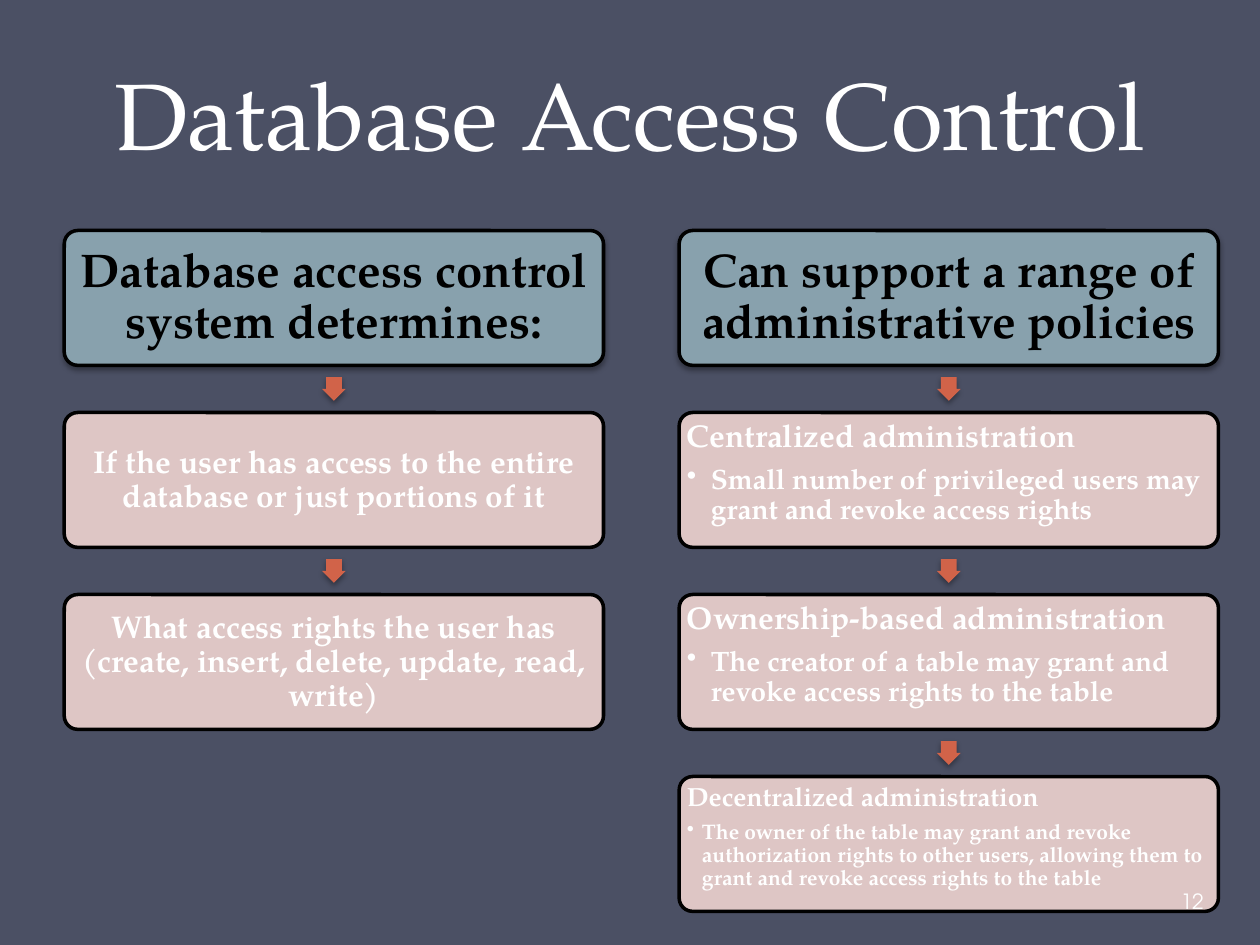
from lxml import etree
from pptx import Presentation
from pptx.dml.color import RGBColor
from pptx.enum import shapes, text
from pptx.oxml import ns
from pptx.util import Inches, Pt

SERIF = "TeX Gyre Pagella"
SANS = "TeX Gyre Adventor"
SLATE = RGBColor(0x4B, 0x50, 0x64)
STEEL = RGBColor(0x88, 0xA1, 0xAD)
ROSE = RGBColor(0xEE, 0xD3, 0xD0)
RUST = RGBColor(0xD1, 0x63, 0x49)
WHITE = RGBColor(0xFF, 0xFF, 0xFF)
BLACK = RGBColor(0, 0, 0)

CARD_TOP, CARD_WIDTH, CARD_HEIGHT = 1.83, 4.28, 1.07
GAP = 0.35 * CARD_HEIGHT
ARROW = GAP / 2

# Each column: left edge, heading, cards of (size, lead, bullet size, bullet, indent)
COLUMNS = [
    (0.51, "Database access control system determines:", [
        (18, "If the user has access to the entire database or just portions of it"),
        (18, "What access rights the user has (create, insert, delete, update, read, write)"),
    ]),
    (5.39, "Can support a range of administrative policies", [
        (18, "Centralized administration", 16,
         "Small number of privileged users may grant and revoke access rights", 0.19),
        (18, "Ownership-based administration", 16,
         "The creator of a table may grant and revoke access rights to the table", 0.19),
        (15, "Decentralized administration", 12,
         "The owner of the table may grant and revoke authorization rights to other users, "
         "allowing them to grant and revoke access rights to the table", 0.12),
    ]),
]


def add_child(parent, tag, **attributes):
    return etree.SubElement(parent, ns.qn(tag), attributes)


def add_shadow(shape):
    """Cast a soft shadow straight down."""
    effects = shape._element.spPr.find(ns.qn("a:effectLst"))
    shadow = add_child(effects, "a:outerShdw", blurRad=str(Pt(3.1)), dist=str(Pt(1.8)),
                       dir="5400000", rotWithShape="0")
    color = add_child(shadow, "a:srgbClr", val=str(BLACK))
    add_child(color, "a:alpha", val="35000")


def set_fill(shape, color, opacity=100):
    shape.fill.solid()
    shape.fill.fore_color.rgb = color
    if opacity < 100:
        fill = shape._element.spPr.find(ns.qn("a:solidFill"))
        add_child(fill[0], "a:alpha", val=str(opacity * 1000))


def set_frame(frame, anchor, margin):
    frame.word_wrap = True
    frame.vertical_anchor = anchor
    frame.margin_left = frame.margin_right = Inches(margin)
    frame.margin_top = frame.margin_bottom = Inches(margin)


def add_span(para, words, size, color, font=SERIF, bold=False):
    span = para.add_run()
    span.text = words
    span.font.name = font
    span.font.size = Pt(size)
    span.font.bold = bold
    span.font.color.rgb = color


def add_text_box(page, left, top, width, height, anchor, margin=0.05):
    box = page.shapes.add_textbox(Inches(left), Inches(top), Inches(width), Inches(height))
    set_frame(box.text_frame, anchor, margin)
    return box.text_frame


def add_card(page, left, top, color, opacity=100):
    card = page.shapes.add_shape(
        shapes.MSO_SHAPE.ROUNDED_RECTANGLE,
        Inches(left), Inches(top), Inches(CARD_WIDTH), Inches(CARD_HEIGHT))
    card.adjustments[0] = 0.1
    card.shadow.inherit = False
    set_fill(card, color, opacity)
    card.line.color.rgb = BLACK
    card.line.width = Pt(2)
    return card


def add_arrow(page, left, top):
    """Point down from the card above to the card that starts at top."""
    arrow = page.shapes.add_shape(
        shapes.MSO_SHAPE.RIGHT_ARROW,
        Inches(left + (CARD_WIDTH - ARROW) / 2), Inches(top - (GAP + ARROW) / 2),
        Inches(ARROW), Inches(ARROW))
    arrow.rotation = 90
    arrow.adjustments[0] = 0.67
    arrow.adjustments[1] = 0.5
    arrow.shadow.inherit = False
    set_fill(arrow, RUST)
    arrow.line.fill.background()
    add_shadow(arrow)


def add_lead(frame, words, size, color, alignment):
    para = frame.paragraphs[0]
    para.alignment = alignment
    para.line_spacing = 0.9
    add_span(para, words, size, color, bold=True)
    return para


def add_bullet(frame, words, size, indent):
    para = frame.add_paragraph()
    para.level = 1
    para.alignment = text.PP_ALIGN.LEFT
    para.line_spacing = 0.9
    properties = para._p.get_or_add_pPr()
    properties.set("marL", str(Inches(indent)))
    properties.set("indent", str(-Inches(indent)))
    add_child(properties, "a:buChar", char="•")
    add_span(para, words, size, WHITE, bold=True)


def add_heading(page, left, words):
    card = add_card(page, left, CARD_TOP, STEEL)
    add_shadow(card)
    set_frame(card.text_frame, text.MSO_ANCHOR.MIDDLE, 0.04)
    add_lead(card.text_frame, words, 27, BLACK, text.PP_ALIGN.CENTER)


def add_detail(page, left, top, size, lead, bullet_size=None, bullet=None, indent=0):
    frame = add_card(page, left, top, ROSE, 90).text_frame
    if bullet is None:
        set_frame(frame, text.MSO_ANCHOR.MIDDLE, 0.03)
        add_lead(frame, lead, size, WHITE, text.PP_ALIGN.CENTER)
        return
    set_frame(frame, text.MSO_ANCHOR.TOP, 0.03)
    para = add_lead(frame, lead, size, WHITE, text.PP_ALIGN.LEFT)
    para.space_after = Pt(0.35 * size)
    add_bullet(frame, bullet, bullet_size, indent)


def add_column(page, left, heading, details):
    add_heading(page, left, heading)
    for row, detail in enumerate(details, start=1):
        top = CARD_TOP + row * (CARD_HEIGHT + GAP)
        add_arrow(page, left, top)
        add_detail(page, left, top, *detail)


def add_title(page, words):
    frame = add_text_box(page, 0.5, 0, 9, 1.39, text.MSO_ANCHOR.BOTTOM)
    para = frame.paragraphs[0]
    para.alignment = text.PP_ALIGN.CENTER
    para.line_spacing = Pt(58)
    add_span(para, words, 54, WHITE)


def add_page_number(page, number):
    frame = add_text_box(page, 9.34, 6.95, 0.61, 0.4, text.MSO_ANCHOR.MIDDLE)
    frame.margin_left = Inches(0.03)
    add_span(frame.paragraphs[0], number, 12, WHITE, SANS)


def main():
    deck = Presentation()
    deck.slide_width, deck.slide_height = Inches(10), Inches(7.5)
    page = deck.slides.add_slide(deck.slide_layouts[6])
    page.background.fill.solid()
    page.background.fill.fore_color.rgb = SLATE
    add_title(page, "Database Access Control")
    for column in COLUMNS:
        add_column(page, *column)
    add_page_number(page, "12")
    deck.save("out.pptx")


if __name__ == "__main__":
    main()
